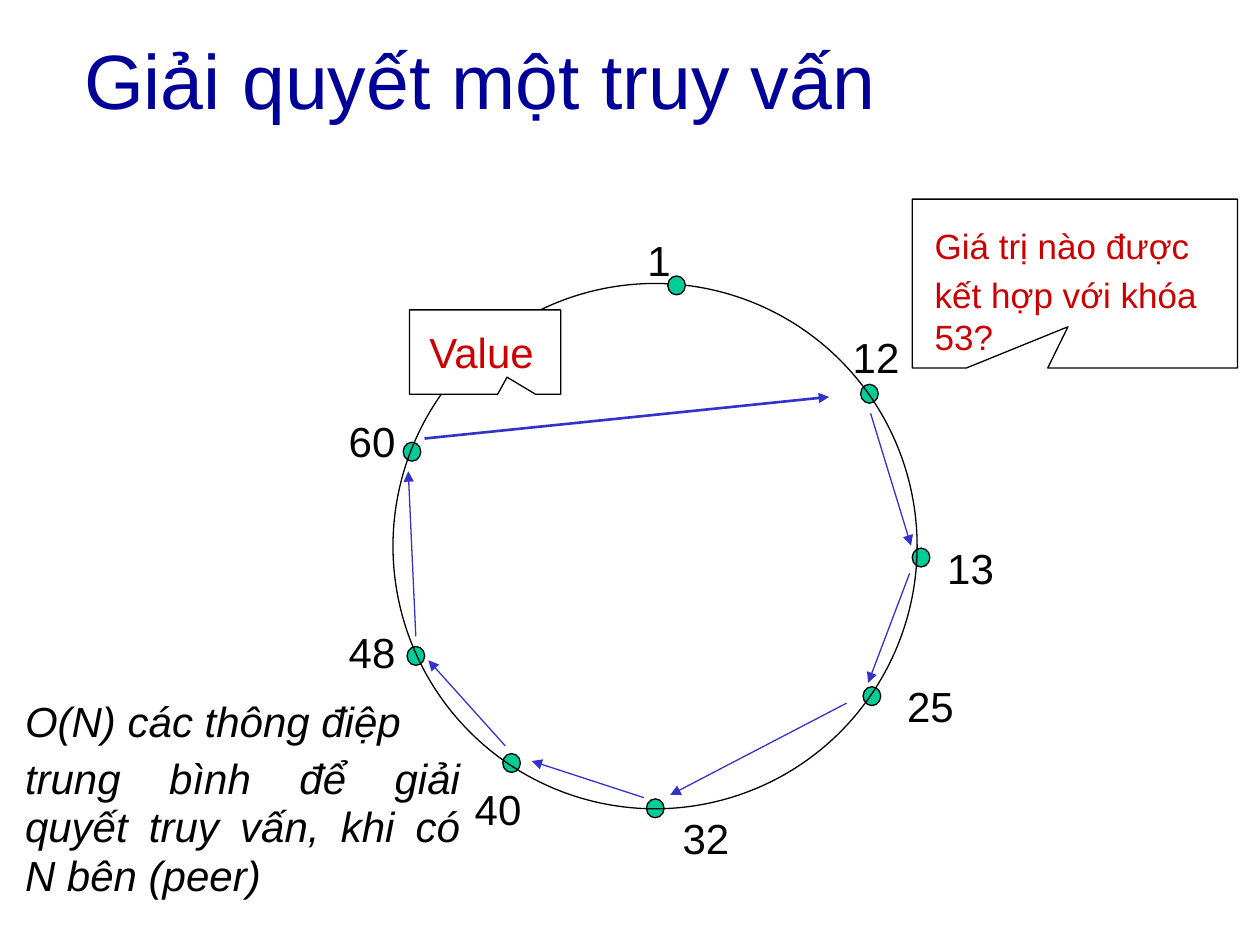
from pptx import Presentation
from pptx.dml.color import RGBColor
from pptx.enum.shapes import MSO_CONNECTOR, MSO_SHAPE
from pptx.enum.text import MSO_ANCHOR, PP_ALIGN
from pptx.oxml.ns import qn
from pptx.util import Pt
from lxml import etree

OVAL = MSO_SHAPE.OVAL
CALLOUT = MSO_SHAPE.ROUNDED_RECTANGULAR_CALLOUT
STRAIGHT = MSO_CONNECTOR.STRAIGHT
TOP, MIDDLE = MSO_ANCHOR.TOP, MSO_ANCHOR.MIDDLE
JUSTIFY = PP_ALIGN.JUSTIFY

FONT = "Arial"
BLACK, WHITE, RED = "000000", "FFFFFF", "CC0000"
NAVY, BLUE, GREEN = "000099", "3333CC", "00CC99"
DOT_W, DOT_H = 10.1, 10.8

# peer name, left and top of its dot, left and top of its label
PEERS = [
    ("12", (491.8, 219.6), (480.2, 185.8)),
    ("13", (521.3, 313.2), (534.2, 306.7)),
    ("25", (493.2, 392.4), (511.2, 385.2)),
    ("32", (369.4, 456.5), (383, 460.8)),
    ("40", (287.3, 430.6), (264.2, 444.2)),
    ("48", (232.6, 369.4), (192.2, 354.2)),
    ("60", (230.4, 252.7), (192.2, 234)),
]
FIRST_PEER = ("1", (381.6, 157.7), (362.9, 130.3))

# each hop of the query, from and to
HOPS = [
    ((497.5, 236.2), (520.6, 311.8)),
    ((519.8, 327.6), (496.1, 390.2)),
    ((483.8, 401.8), (383, 454.3)),
    ((367.9, 455.8), (303.8, 434.9)),
    ((288.7, 426.2), (244.8, 377.3)),
    ((237.6, 363.6), (233.3, 269.3)),
]
REPLY = ((242.6, 250.6), (473.8, 226.8))


def rgb(color):
    return RGBColor.from_string(color)


def add_outlined(s, kind, box, fill=None):
    sp = s.shapes.add_shape(kind, *map(Pt, box))
    sp.shadow.inherit = False
    if fill:
        sp.fill.solid()
        sp.fill.fore_color.rgb = rgb(fill)
    else:
        sp.fill.background()
    sp.line.color.rgb = rgb(BLACK)
    sp.line.width = Pt(0.75)
    return sp


def add_dot(s, corner):
    add_outlined(s, OVAL, (*corner, DOT_W, DOT_H), GREEN)


def add_callout(s, box, tip, fill=None):
    """Square-cornered speech box; tip is the pointer offset from its centre."""
    sp = add_outlined(s, CALLOUT, box, fill)
    for i, value in enumerate((*tip, 0)):
        sp.adjustments[i] = value


def add_text(s, box, lines, size=24, color=BLACK, italic=False, align=None,
             anchor=TOP, spacing=None, before=0):
    tf = s.shapes.add_textbox(*map(Pt, box)).text_frame
    tf.word_wrap = True
    tf.vertical_anchor = anchor
    for i, line in enumerate(lines):
        p = tf.paragraphs[0] if i == 0 else tf.add_paragraph()
        p.alignment = align
        p.line_spacing = spacing
        if i:
            p.space_before = Pt(before)
        r = p.add_run()
        r.text = line
        r.font.name = FONT
        r.font.size = Pt(size)
        r.font.italic = italic
        r.font.color.rgb = rgb(color)


def add_label(s, name, corner):
    add_text(s, (*corner, 14.8 + 13.5 * len(name), 36.7), [name])


def add_arrow(s, start, end, width=0.75):
    line = s.shapes.add_connector(STRAIGHT, *map(Pt, (*start, *end)))
    line.line.color.rgb = rgb(BLUE)
    line.line.width = Pt(width)
    etree.SubElement(line.line._get_or_add_ln(), qn("a:tailEnd"), type="triangle")
    etree.SubElement(line._element.spPr, qn("a:effectLst"))


def main():
    prs = Presentation()
    prs.slide_width, prs.slide_height = Pt(720), Pt(540)
    s = prs.slides.add_slide(prs.slide_layouts[6])

    for _, dot, _ in PEERS:
        add_dot(s, dot)
    add_outlined(s, OVAL, (224.6, 162, 299.5, 300.2))
    for name, _, label in [FIRST_PEER, *PEERS]:
        add_label(s, name, label)

    add_callout(s, (521.3, 113.8, 185.8, 96.5), (-0.021, 0.256))
    add_text(s, (527, 124.6, 185.8, 72.7),
             ["Giá trị nào được", "kết hợp với khóa 53?"],
             size=20, color=RED, before=4)

    for start, end in HOPS:
        add_arrow(s, start, end)
    add_dot(s, FIRST_PEER[1])

    add_arrow(s, *REPLY, width=1.5)
    add_callout(s, (234, 177.1, 86.4, 48.2), (0.146, 0.298), WHITE)
    add_text(s, (238.3, 182.9, 102.2, 36.7), ["Value"], color=RED)

    add_text(s, (7.2, 396, 262.8, 110.2),
             ["O(N) các thông điệp",
              "trung bình để giải quyết truy vấn, khi có N bên (peer)"],
             italic=True, align=JUSTIFY, spacing=0.96, before=4.8)
    add_text(s, (41, 0, 612, 90), ["Giải quyết một truy vấn"],
             size=44, color=NAVY, anchor=MIDDLE)

    prs.save("out.pptx")


if __name__ == "__main__":
    main()
